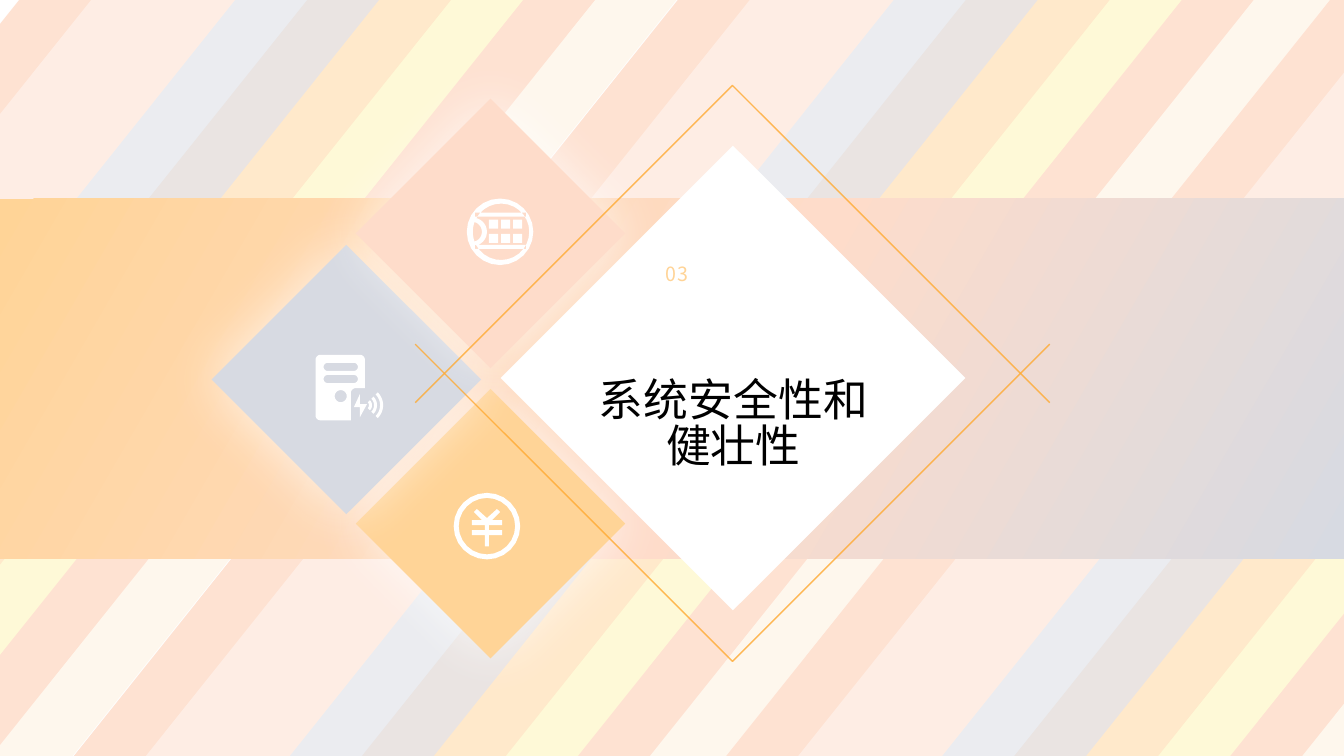
from math import cos, radians, sin

from pptx import Presentation
from pptx.dml.color import RGBColor
from pptx.enum.shapes import MSO_SHAPE as Kind
from pptx.enum.text import MSO_ANCHOR as Anchor, MSO_AUTO_SIZE as Fit, PP_ALIGN as Align
from pptx.oxml import parse_xml
from pptx.oxml.ns import nsdecls, qn
from pptx.util import Inches, Pt

WHITE = RGBColor(0xFF, 0xFF, 0xFF)
BLACK = RGBColor(0, 0, 0)
CORAL = RGBColor(0xFD, 0xC5, 0xA6)
PEACH = RGBColor(0xFE, 0xDC, 0xCA)
BLUE = RGBColor(0xD7, 0xDA, 0xE2)
TAUPE = RGBColor(0xD6, 0xC9, 0xC6)
ORANGE = RGBColor(0xFF, 0xD4, 0x97)
LEMON = RGBColor(0xFD, 0xF4, 0xAF)
CREAM = RGBColor(0xFD, 0xEF, 0xDC)
AMBER = RGBColor(0xFF, 0xAA, 0x32)
FONT = "Noto Sans CJK SC"
NS = nsdecls("a")

deck = Presentation()
deck.slide_width, deck.slide_height = Inches(13.33), Inches(7.5)
slide = deck.slides.add_slide(deck.slide_layouts[5])
shapes = slide.shapes
slide.background.fill.solid()
slide.background.fill.fore_color.rgb = WHITE


def rect(x, y, w, h, color, turn=0):
    box = shapes.add_shape(Kind.RECTANGLE, Inches(x), Inches(y), Inches(w), Inches(h))
    box.shadow.inherit = False
    box.fill.solid()
    box.fill.fore_color.rgb = color
    box.line.fill.background()
    box.rotation = turn
    return box


def arc(x, y, r, start, end):
    steps = 24
    turns = [radians(start + (end - start) * i / steps) for i in range(steps + 1)]
    return [(x + r * cos(t), y + r * sin(t)) for t in turns]


tints = [CORAL, PEACH, PEACH, BLUE, TAUPE, ORANGE, LEMON, CORAL, CREAM]
for left, top in [(-4.19, -2.45), (3.58, -4), (10.09, -4.05)]:
    for i, tint in enumerate(tints):
        rect(left + 0.85 * i, top - 0.17 * i, 0.63, 16.09, tint, 38.6)

veil = rect(0, 0, 13.33, 7.5, WHITE)
tone = veil.element.spPr.find(qn("a:solidFill"))[0]
tone.append(parse_xml(f'<a:alpha {NS} val="50000"/>'))

band = rect(0, 1.97, 13.33, 3.57, PEACH)
band.fill.gradient()
grad = band.element.spPr.find(qn("a:gradFill"))
for part in list(grad):
    grad.remove(part)
stops = "".join(
    f'<a:gs pos="{pos}000"><a:srgbClr val="{tint}"/></a:gs>'
    for pos, tint in [(0, ORANGE), (54, PEACH), (100, BLUE)]
)
grad.append(parse_xml(f"<a:gsLst {NS}>{stops}</a:gsLst>"))
grad.append(parse_xml(f'<a:lin {NS} ang="1800000" scaled="0"/>'))

rect(5.64, 2.12, 3.26, 3.26, WHITE, 315)
for x, y, tint in [(3.92, 4.25, ORANGE), (2.49, 2.82, BLUE), (3.92, 1.37, PEACH)]:
    tile = rect(x, y, 1.89, 1.89, tint, 315)
    tile.element.spPr.find(qn("a:effectLst")).append(parse_xml(
        f'<a:outerShdw {NS} blurRad="{Inches(0.6)}" dist="0" algn="ctr" rotWithShape="0">'
        '<a:srgbClr val="FFFFFF"><a:alpha val="75000"/></a:srgbClr></a:outerShdw>'))

note = shapes.add_textbox(Inches(6.5), Inches(2.55), Inches(1.32), Inches(1.1))
note.text_frame.text = "03"
title = shapes.title
title.left, title.top, title.width, title.height = [Inches(v) for v in (5.76, 3.72, 3.03, 1.18)]
title.text_frame.text = "系统安全性和健壮性"
title.element.getparent().append(title.element)
for box, size, color, wrap, align in [
    (note, 14, ORANGE, False, Align.LEFT),
    (title, 32, BLACK, True, Align.CENTER),
]:
    frame = box.text_frame
    frame.word_wrap = wrap
    frame.auto_size = Fit.NONE
    frame.vertical_anchor = Anchor.TOP
    para = frame.paragraphs[0]
    para.alignment = align
    run = para.runs[0]
    run.font.name = FONT
    run.font.size = Pt(size)
    run.font.color.rgb = color
    run.font.fill.solid()
    run.font.color.rgb = color
    run.font.element.append(parse_xml(f'<a:ea {NS} typeface="{FONT}"/>')) if hasattr(
        run.font, "element") else run.font._element.append(
        parse_xml(f'<a:ea {NS} typeface="{FONT}"/>'))
title.text_frame.paragraphs[0].line_spacing = 0.85
note.text_frame.paragraphs[0].runs[0].font._element.set("spc", "100")

x, size = 5.04, 4.45
for y, far, turn in [(1.19, True, 315), (1.77, False, 45)]:
    low, high = (y, y + size) if far else (y + size, y)
    pts = [(Inches(a), Inches(b)) for a, b in [(x, low), (x, high), (x + size, high)]]
    pen = shapes.build_freeform(*pts[0], scale=1.0)
    pen.add_line_segments(pts[1:], close=False)
    angle = pen.convert_to_shape()
    angle.shadow.inherit = False
    angle.rotation = turn
    angle.fill.background()
    angle.line.color.rgb = AMBER
    angle.line.width = Pt(1)
    tone = angle.line.fill._xPr.find(qn("a:solidFill"))[0]
    tone.append(parse_xml(f'<a:alpha {NS} val="82000"/>'))

bars = [(4.71, y, 0.51, 0.04) for y in (2.11, 2.43)]
bars += [(4.85 + 0.12 * i, y, 0.09, 0.09) for i in range(3) for y in (2.18, 2.32)]
globe = [
    arc(4.96, 2.3, 0.33, 0, 360),
    arc(4.97, 2.3, 0.28, 152, -152) + arc(4.69, 2.3, 0.14, -77, 77),
    arc(4.97, 2.3, 0.28, 160, 200) + arc(4.68, 2.3, 0.1, -75, 75),
] + [[(x, y), (x + w, y), (x + w, y + h), (x, y + h)] for x, y, w, h in bars]

server = [
    arc(3.18, 3.57, 0.05, 180, 270) + arc(3.57, 3.57, 0.05, 270, 360)
    + [(3.62, 3.85)] + arc(3.53, 3.9, 0.05, 270, 180)
    + [(3.48, 4.17)] + arc(3.18, 4.12, 0.05, 90, 180),
    arc(3.38, 3.93, 0.06, 0, 360),
    [(3.57, 3.91), (3.51, 4.04), (3.57, 4.04), (3.57, 4.14), (3.64, 4.01), (3.57, 4.01)],
]
for y in (3.64, 3.76):
    server.append(arc(3.25, y, 0.04, 90, 270) + arc(3.51, y, 0.04, -90, 90))
for r in (0.07, 0.12, 0.18):
    server.append(arc(3.62, 4.02, r, -45, 45) + arc(3.62, 4.02, r - 0.03, 45, -45))

half = [(0, -0.08), (0.1, -0.17), (0.13, -0.14), (0.05, -0.06), (0.15, -0.06), (0.15, -0.01),
        (0.02, -0.01), (0.02, 0.04), (0.15, 0.04), (0.15, 0.09), (0.02, 0.09), (0.02, 0.2)]
sign = half + [(-x, y) for x, y in reversed(half)]
coin = [arc(4.83, 5.22, r, 0, 360) for r in (0.33, 0.28)]
coin.append([(4.83 + x, 5.22 + y) for x, y in sign])

for icon in (globe, server, coin):
    loops = [[(Inches(x), Inches(y)) for x, y in loop] for loop in icon]
    pen = shapes.build_freeform(*loops[0][0], scale=1.0)
    for loop in loops:
        pen.move_to(*loop[0])
        pen.add_line_segments(loop[1:], close=True)
    mark = pen.convert_to_shape()
    mark.shadow.inherit = False
    mark.fill.solid()
    mark.fill.fore_color.rgb = WHITE
    mark.line.fill.background()

deck.save("out.pptx")
